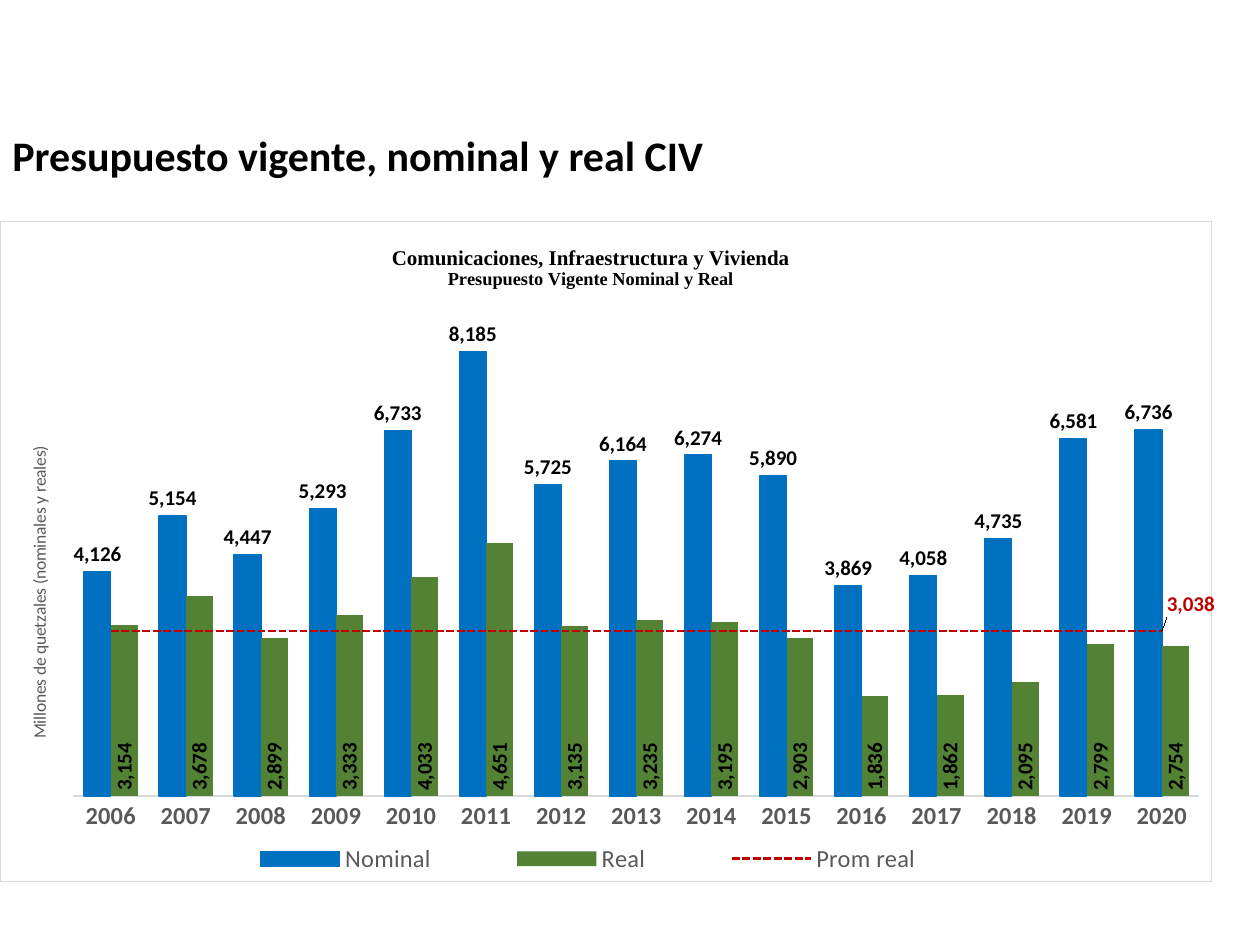
import copy
from dataclasses import dataclass

import pptx
import pptx.chart.data
import pptx.dml.color
import pptx.enum.chart
import pptx.enum.dml
import pptx.enum.shapes
import pptx.enum.text
import pptx.oxml
import pptx.oxml.ns
import pptx.util
from pptx.util import Cm

@dataclass(frozen=True)
class Theme:
    white: str = "FFFFFF"
    black: str = "000000"
    gray: str = "595959"
    rule: str = "D9D9D9"
    nominal: str = "0070C0"
    real: str = "548235"
    average: str = "C00000"
    body: str = "Calibri"
    serif: str = "Times New Roman"
    heading_size: float = 24
    axis_size: float = 14
    label_size: float = 12
    subtitle_size: float = 10.5
    small_size: float = 10
    hairline: float = 0.75

THEME = Theme()
YEARS = [str(year) for year in range(2006, 2021)]
NOMINAL = [4126, 5154, 4447, 5293, 6733, 8185, 5725, 6164, 6274, 5890,
           3869, 4058, 4735, 6581, 6736]
REAL = [3154, 3678, 2899, 3333, 4033, 4651, 3135, 3235, 3195, 2903,
        1836, 1862, 2095, 2799, 2754]
AVERAGE_REAL = 3038
NS = ('xmlns:c="http://schemas.openxmlformats.org/drawingml/2006/chart" '
      'xmlns:a="http://schemas.openxmlformats.org/drawingml/2006/main"')
qn = pptx.oxml.ns.qn

def rgb(color):
    return pptx.dml.color.RGBColor.from_string(color)

def style_font(font, size, color, bold=False, face=THEME.body):
    font.name, font.size, font.bold = face, pptx.util.Pt(size), bold
    font.color.rgb = rgb(color)

def style_line(line, color, width=THEME.hairline):
    line.color.rgb = rgb(color)
    line.width = pptx.util.Pt(width)

def add_run(paragraph, text, *style):
    run = paragraph.add_run()
    run.text = text
    style_font(run.font, *style)

def chart_part(chart, tag):
    return chart.element.find(".//" + qn(tag))

def place(parent, x, y, w=None, h=None, after=None, inner=False):
    """Give a chart part a manual layout, in fractions of the chart."""
    for old in parent.findall(qn("c:layout")):
        parent.remove(old)
    target = '<c:layoutTarget val="inner"/>' if inner else ""
    sizes = "".join(f'<c:{name} val="{value}"/>' for name, value
                    in zip("xywh", (x, y, w, h)) if value is not None)
    layout = pptx.oxml.parse_xml(
        f'<c:layout {NS}><c:manualLayout>{target}<c:xMode val="edge"/>'
        f'<c:yMode val="edge"/>{sizes}</c:manualLayout></c:layout>')
    if after:
        parent.find(qn(after)).addnext(layout)
    else:
        parent.insert(0, layout)

def add_heading(slide, left, top, width, height):
    heading = slide.shapes.add_shape(
        pptx.enum.shapes.MSO_SHAPE.RECTANGLE, left, top, width, height)
    heading.shadow.inherit = False
    heading.fill.solid()
    heading.fill.fore_color.rgb = rgb(THEME.white)
    heading.line.fill.background()
    frame = heading.text_frame
    frame.word_wrap = True
    frame.paragraphs[0].alignment = pptx.enum.text.PP_ALIGN.LEFT
    add_run(frame.paragraphs[0], "Presupuesto vigente, nominal y real CIV",
            THEME.heading_size, THEME.black, True)

def frame_chart(chart):
    chart_part(chart, "c:chart").addnext(pptx.oxml.parse_xml(
        f'<c:spPr {NS}><a:solidFill><a:srgbClr val="{THEME.white}"/>'
        f'</a:solidFill><a:ln w="{int(pptx.util.Pt(THEME.hairline))}"><a:solidFill>'
        f'<a:srgbClr val="{THEME.rule}"/></a:solidFill></a:ln></c:spPr>'))

def title_chart(chart):
    text = chart.chart_title.text_frame
    add_run(text.paragraphs[0], "Comunicaciones, Infraestructura y Vivienda",
            THEME.label_size, THEME.black, True, THEME.serif)
    add_run(text.add_paragraph(), "Presupuesto Vigente Nominal y Real",
            THEME.subtitle_size, THEME.black, True, THEME.serif)
    place(chart_part(chart, "c:title"), 0.32, 0.03, after="c:tx")

def style_axes(chart):
    tick = pptx.enum.chart.XL_TICK_MARK
    years, amounts = chart.category_axis, chart.value_axis
    years.major_tick_mark = amounts.major_tick_mark = tick.NONE
    style_font(years.tick_labels.font, THEME.axis_size, THEME.gray, True)
    style_line(years.format.line, THEME.rule)
    amounts.minimum_scale, amounts.maximum_scale = 0, 9000
    amounts.has_major_gridlines = False
    amounts.tick_label_position = pptx.enum.chart.XL_TICK_LABEL_POSITION.NONE
    amounts.format.line.fill.background()
    add_run(amounts.axis_title.text_frame.paragraphs[0],
            "Millones de quetzales (nominales y reales)",
            THEME.small_size, THEME.gray)
    title = chart_part(chart, "c:valAx").find(qn("c:title"))
    title.find(".//" + qn("a:bodyPr")).set("rot", "-5400000")
    place(title, 0.02, 0.335, after="c:tx")

def style_bars(series, color, position, upright=False):
    series.format.fill.solid()
    series.format.fill.fore_color.rgb = rgb(color)
    labels = series.data_labels
    labels.show_value = True
    labels.number_format, labels.number_format_is_linked = "#,##0", False
    labels.position = position
    style_font(labels.font, THEME.label_size, THEME.black, True)
    if upright:
        body = series._element.find(qn("c:dLbls")).find(".//" + qn("a:bodyPr"))
        body.set("rot", "-5400000")
        body.set("vert", "horz")

def make_average_line(chart):
    """Move the third series from the bars to a line on the same axes."""
    bars = chart_part(chart, "c:barChart")
    line = pptx.oxml.parse_xml(
        f'<c:lineChart {NS}><c:grouping val="standard"/>'
        '<c:varyColors val="0"/><c:marker val="1"/></c:lineChart>')
    moved = bars.findall(qn("c:ser"))[2]
    for flag in moved.findall(qn("c:invertIfNegative")):
        moved.remove(flag)
    line.insert(2, moved)
    for axis in bars.findall(qn("c:axId")):
        line.append(copy.copy(axis))
    bars.addnext(line)

    average = chart.plots[1].series[0]
    average.smooth = False
    average.marker.style = pptx.enum.chart.XL_MARKER_STYLE.NONE
    style_line(average.format.line, THEME.average, 1.5)
    average.format.line.dash_style = pptx.enum.dml.MSO_LINE.SQUARE_DOT

    # Only the last point is labelled, raised above the line with a leader
    label = average.points[len(YEARS) - 1].data_label
    style_font(label.font, THEME.label_size, THEME.average, True)
    label.position = pptx.enum.chart.XL_LABEL_POSITION.RIGHT
    labels = average._element.find(qn("c:dLbls"))
    average.data_labels.show_value = False
    labels.find(qn("c:dLbl")).find(qn("c:idx")).addnext(pptx.oxml.parse_xml(
        f'<c:layout {NS}><c:manualLayout><c:x val="0"/><c:y val="-0.04"/>'
        "</c:manualLayout></c:layout>"))
    for old in labels.findall(qn("c:showLeaderLines")):
        labels.remove(old)
    labels.append(pptx.oxml.parse_xml(
        f'<c:extLst {NS}><c:ext uri="{{CE6537A1-D6FC-4f65-9D91-7224C49458BB}}" '
        'xmlns:c15="http://schemas.microsoft.com/office/drawing/2012/chart">'
        '<c15:showLeaderLines val="1"/></c:ext></c:extLst>'))

def add_budget_chart(slide, left, top, width, height):
    data = pptx.chart.data.CategoryChartData(number_format="#,##0")
    data.categories = YEARS
    data.add_series("Nominal", NOMINAL)
    data.add_series("Real", REAL)
    data.add_series("Prom real", [AVERAGE_REAL] * len(YEARS))
    chart = slide.shapes.add_chart(
        pptx.enum.chart.XL_CHART_TYPE.COLUMN_CLUSTERED,
        left, top, width, height, data).chart
    style_font(chart.font, THEME.small_size, THEME.black)
    frame_chart(chart)
    title_chart(chart)
    style_axes(chart)
    # Columns and average line
    columns = chart.plots[0]
    columns.gap_width, columns.overlap, columns.vary_by_categories = 80, 0, False
    position = pptx.enum.chart.XL_LABEL_POSITION
    nominal, real = list(columns.series)[:2]
    style_bars(nominal, THEME.nominal, position.OUTSIDE_END)
    style_line(nominal.format.line, THEME.nominal)
    style_bars(real, THEME.real, position.INSIDE_BASE, upright=True)
    make_average_line(chart)
    place(chart_part(chart, "c:plotArea"), 0.06, 0.13, 0.93, 0.74, inner=True)
    # Legend along the foot
    chart.has_legend = True
    chart.legend.position = pptx.enum.chart.XL_LEGEND_POSITION.TOP
    chart.legend.include_in_layout = False
    style_font(chart.legend.font, THEME.axis_size, THEME.gray)
    place(chart_part(chart, "c:legend"), 0.15, 0.93, 0.67, 0.07, after="c:legendPos")

deck = pptx.Presentation()
deck.slide_width, deck.slide_height = Cm(25.4), Cm(19.05)
budget_slide = deck.slides.add_slide(deck.slide_layouts[6])
add_heading(budget_slide, Cm(0), Cm(2.49), Cm(25.4), Cm(1.27))
add_budget_chart(budget_slide, Cm(0), Cm(4.45), Cm(24.49), Cm(13.34))
deck.save("out.pptx")
